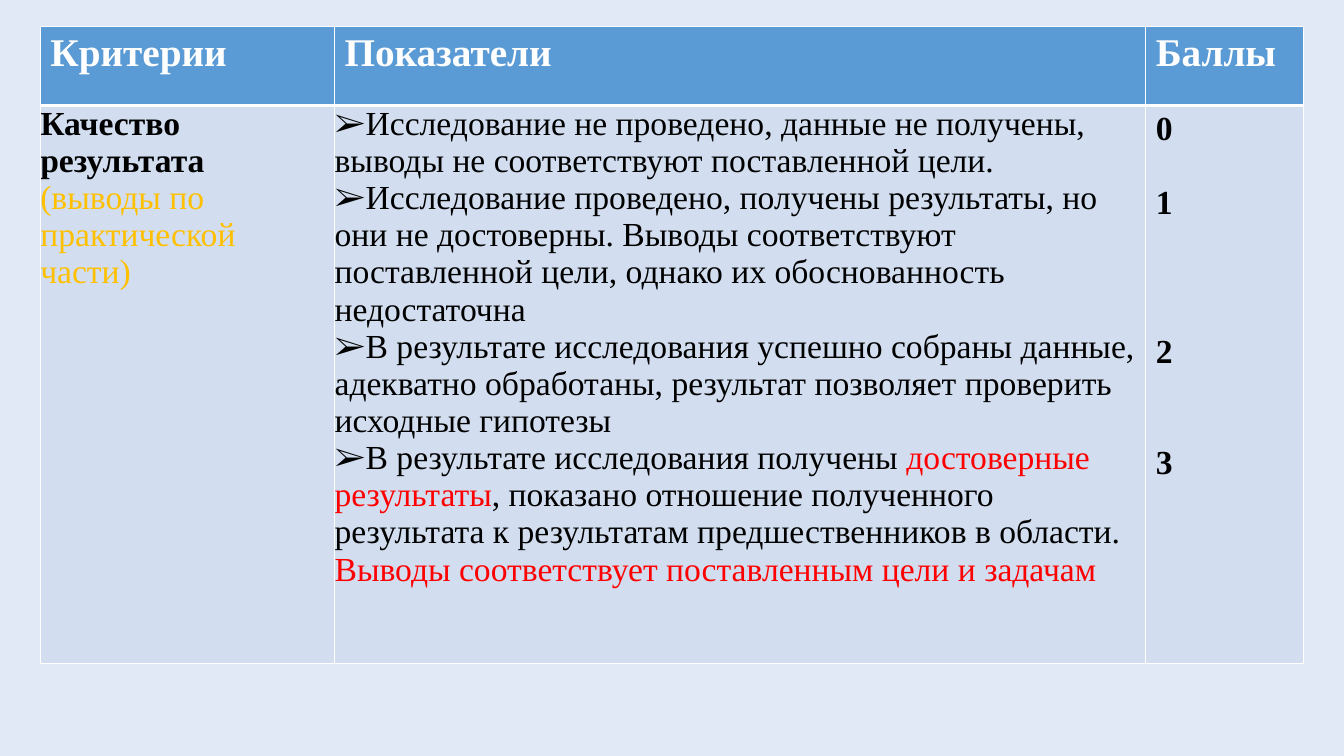
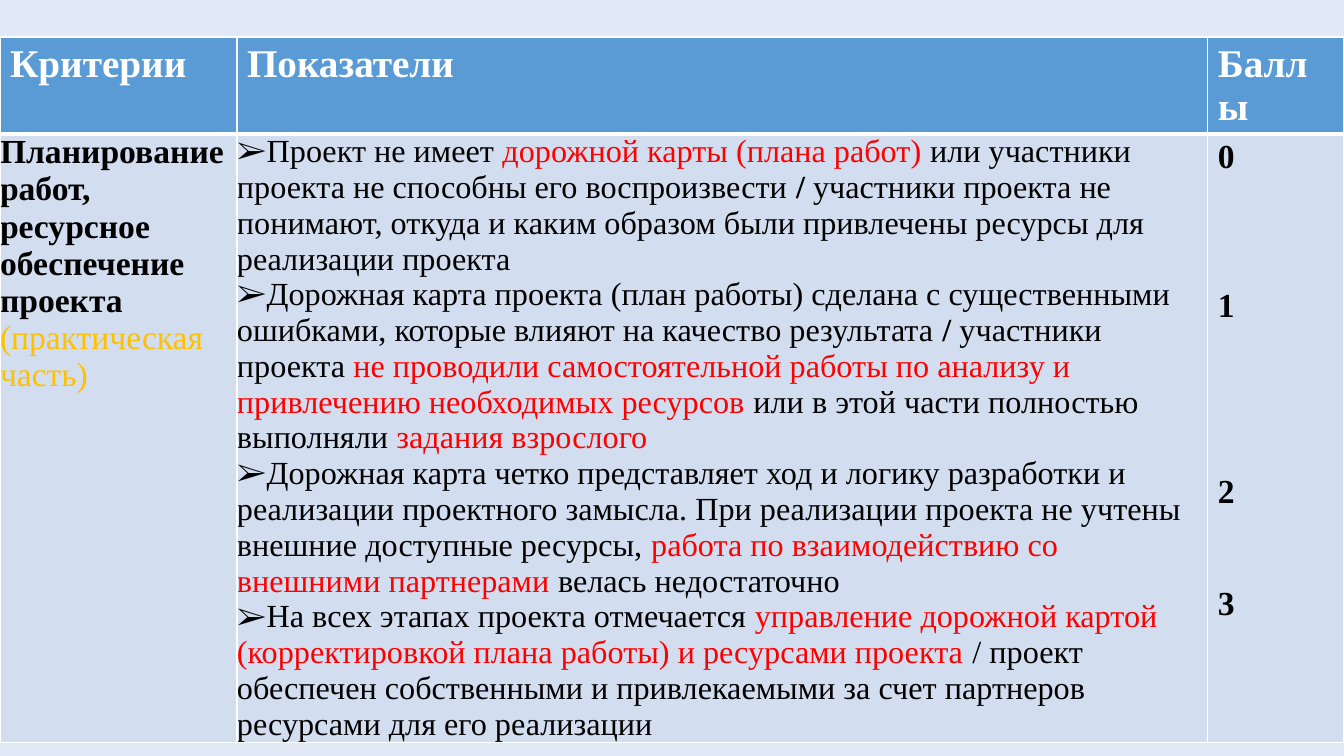
from lxml.etree import SubElement
from pptx import Presentation
from pptx.dml.color import RGBColor
from pptx.enum.text import PP_ALIGN as Align
from pptx.oxml import parse_xml
from pptx.oxml.ns import nsdecls, qn
from pptx.util import Inches, Pt

SLIDE_WIDTH, SLIDE_HEIGHT = Inches(13.33), Inches(7.5)
FONT = "Times New Roman"
COLORS = {
    "background": "E2E9F6",
    "header": "5B9BD5",
    "body": "D2DEEF",
    "white": "FFFFFF",
    "black": "000000",
    "red": "FF0000",
    "amber": "FFC000",
}
HEADINGS = ["Критерии", "Показатели", "Баллы"]
HEADING_SIZE, BODY_SIZE = 28, 24
LINE_HEIGHT = 1.107 * BODY_SIZE  # points per line of body text
ROW_SHARES = [10.4, 73.87]  # percent of the slide's height
CRITERION_GAP = 0.5  # percent of the slide's width, kept free at the right
THIN, THICK = 1, 3
HEADER_EDGES = {"L": THIN, "R": THIN, "T": THIN, "B": THICK}
BODY_EDGES = {"L": THIN, "R": THIN, "T": THICK, "B": THIN}

RED = {"color": "red"}
BOLD = {"bold": True}
PLAIN = {}

RESULT_QUALITY = {
    "left": 3, "top": 3.55, "columns": [21.9, 60.35, 11.75],
    "criterion": ("Качество результата", "(выводы по практической части)"),
    "size": 24,
    "indicators": [
        [("Исследование не проведено, данные не получены, выводы не соответствуют "
          "поставленной цели.", PLAIN)],
        [("Исследование проведено, получены результаты, но они не достоверны. Выводы "
          "соответствуют поставленной цели, однако их обоснованность недостаточна", PLAIN)],
        [("В результате исследования успешно собраны данные, адекватно обработаны, "
          "результат позволяет проверить исходные гипотезы", PLAIN)],
        [("В результате исследования получены ", PLAIN),
         ("достоверные результаты", RED),
         (", показано отношение полученного результата к результатам "
          "предшественников в области. ", PLAIN),
         ("Выводы соответствует поставленным цели и задачам", RED)],
    ],
    "score_gaps": [0, 1, 3, 2],
}

WORK_PLANNING = {
    "left": 0, "top": 4.9, "columns": [17.63, 72.24, 10.13],
    "criterion": ("Планирование работ, ресурсное обеспечение проекта",
                  "(практическая часть)"),
    "size": 23,
    "indicators": [
        [("Проект не имеет ", PLAIN),
         ("дорожной карты (плана работ)", RED),
         (" или участники проекта не способны его воспроизвести ", PLAIN),
         ("/ ", BOLD),
         ("участники проекта не понимают, откуда и каким образом были привлечены "
          "ресурсы для реализации проекта", PLAIN)],
        [("Дорожная карта проекта (план работы) сделана с существенными ошибками, "
          "которые влияют на качество результата ", PLAIN),
         ("/ ", BOLD),
         ("участники проекта ", PLAIN),
         ("не проводили самостоятельной работы по анализу и привлечению "
          "необходимых ресурсов ", RED),
         ("или в этой части полностью выполняли ", PLAIN),
         ("задания взрослого", RED)],
        [("Дорожная карта четко представляет ход и логику разработки и реализации "
          "проектного замысла. При реализации проекта не учтены внешние доступные "
          "ресурсы, ", PLAIN),
         ("работа по взаимодействию со внешними партнерами ", RED),
         ("велась недостаточно", PLAIN)],
        [("На всех этапах проекта отмечается ", PLAIN),
         ("управление дорожной картой (корректировкой плана работы) и ресурсами "
          "проекта ", RED),
         ("/ проект обеспечен собственными и привлекаемыми за счет партнеров "
          "ресурсами для его реализации", PLAIN)],
    ],
    "score_gaps": [0, 3, 4, 2],
}


def across(percent):
    return round(SLIDE_WIDTH * percent / 100)


def down(percent):
    return round(SLIDE_HEIGHT * percent / 100)


def add_text(paragraph, text, *, size=BODY_SIZE, color="black", bold=False):
    run = paragraph.add_run()
    run.text = text
    run.font.name = FONT
    run.font.size = Pt(size)
    run.font.bold = bold
    run.font.color.rgb = RGBColor.from_string(COLORS[color])


def paragraphs_for(cell, items):
    """Pair each item with its own paragraph, starting with the cell's first."""
    frame = cell.text_frame
    for index, item in enumerate(items):
        yield (frame.add_paragraph() if index else frame.paragraphs[0]), item


def add_arrow_bullet(paragraph):
    properties = paragraph._p.get_or_add_pPr()
    properties.set("marL", "0")
    properties.set("indent", "0")
    SubElement(properties, qn("a:buFont")).set("typeface", FONT)
    SubElement(properties, qn("a:buChar")).set("char", "➢")


def style_cell(cell, fill, edges):
    cell.fill.solid()
    cell.fill.fore_color.rgb = RGBColor.from_string(COLORS[fill])
    properties = cell._tc.get_or_add_tcPr()
    for index, (side, width) in enumerate(edges.items()):
        properties.insert(index, parse_xml(
            f'<a:ln{side} {nsdecls("a")} w="{Pt(width)}"><a:solidFill>'
            f'<a:srgbClr val="{COLORS["white"]}"/></a:solidFill></a:ln{side}>'))


def remove_margins(cell):
    cell.margin_left = cell.margin_right = cell.margin_top = cell.margin_bottom = 0


def fill_criterion(cell, criterion):
    remove_margins(cell)
    cell.margin_right = across(CRITERION_GAP)
    formats = [{"bold": True}, {"color": "amber"}]
    for paragraph, (text, style) in paragraphs_for(cell, zip(criterion, formats)):
        add_text(paragraph, text, **style)


def fill_indicators(cell, indicators, size):
    remove_margins(cell)
    for paragraph, runs in paragraphs_for(cell, indicators):
        add_arrow_bullet(paragraph)
        for text, style in runs:
            add_text(paragraph, text, size=size, **style)


def fill_scores(cell, gaps):
    """Write 0, 1, 2... with the given number of free lines above each."""
    for paragraph, (score, gap) in paragraphs_for(cell, enumerate(gaps)):
        paragraph.alignment = Align.JUSTIFY
        if gap:
            paragraph.space_before = Pt(gap * LINE_HEIGHT)
        add_text(paragraph, str(score), bold=True)


def add_criteria_slide(presentation, content):
    slide = presentation.slides.add_slide(presentation.slide_layouts[6])
    slide.background.fill.solid()
    slide.background.fill.fore_color.rgb = RGBColor.from_string(COLORS["background"])

    columns = content["columns"]
    table = slide.shapes.add_table(
        len(ROW_SHARES), len(columns), across(content["left"]), down(content["top"]),
        across(sum(columns)), down(sum(ROW_SHARES))).table
    table.horz_banding = False
    for column, share in zip(table.columns, columns):
        column.width = across(share)
    for row, share in zip(table.rows, ROW_SHARES):
        row.height = down(share)

    header, body = (list(row.cells) for row in table.rows)
    for cell, heading in zip(header, HEADINGS):
        style_cell(cell, "header", HEADER_EDGES)
        add_text(cell.text_frame.paragraphs[0], heading,
                 size=HEADING_SIZE, color="white", bold=True)
    for cell in body:
        style_cell(cell, "body", BODY_EDGES)
    criterion, indicators, scores = body
    fill_criterion(criterion, content["criterion"])
    fill_indicators(indicators, content["indicators"], content["size"])
    fill_scores(scores, content["score_gaps"])


def main():
    presentation = Presentation()
    presentation.slide_width, presentation.slide_height = SLIDE_WIDTH, SLIDE_HEIGHT
    for content in (RESULT_QUALITY, WORK_PLANNING):
        add_criteria_slide(presentation, content)
    presentation.save("out.pptx")


if __name__ == "__main__":
    main()
